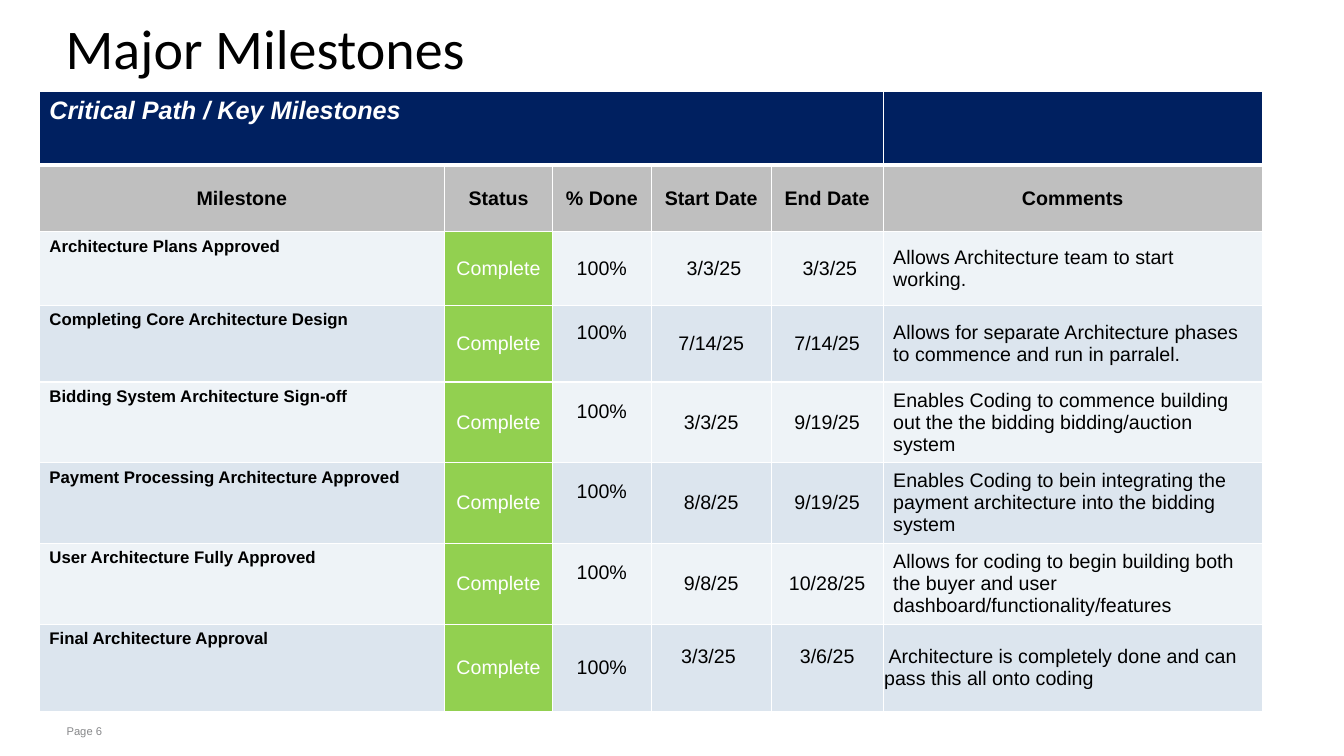
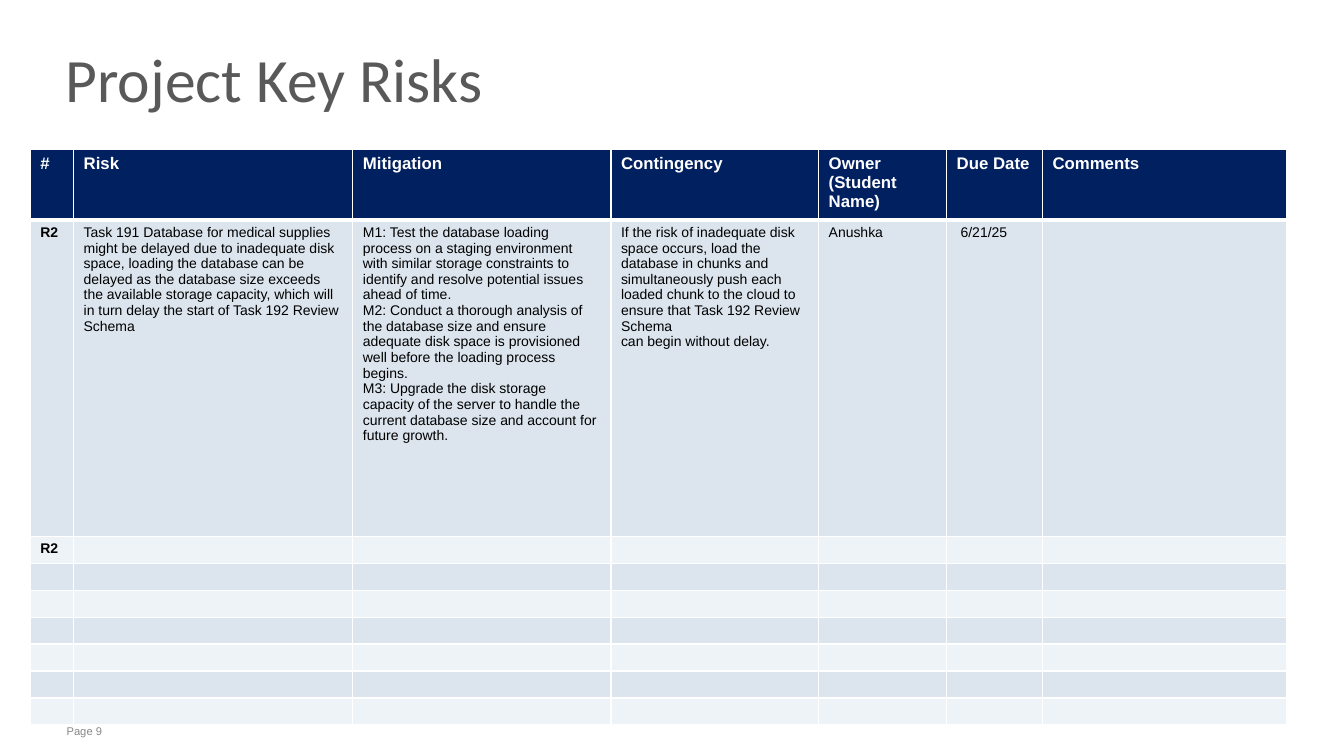
from lxml.etree import SubElement
from pptx import Presentation
from pptx.dml.color import RGBColor
from pptx.enum.text import MSO_ANCHOR as Anchor, MSO_AUTO_SIZE as AutoSize, PP_ALIGN as Align
from pptx.oxml.ns import qn
from pptx.util import Inches, Pt

NAVY = RGBColor(0x00, 0x20, 0x60)
WHITE = RGBColor(0xFF, 0xFF, 0xFF)
BLACK = RGBColor(0x00, 0x00, 0x00)
DARK_GREY = RGBColor(0x59, 0x59, 0x59)
FOOTER_GREY = RGBColor(0x87, 0x88, 0x8A)
HEADING_GREY = RGBColor(0xBF, 0xBF, 0xBF)
GREEN = RGBColor(0x92, 0xD0, 0x50)
PALE = RGBColor(0xEE, 0xF3, 0xF7)
PALE_BLUE = RGBColor(0xDC, 0xE5, 0xEE)

MILESTONE_TITLE = "Critical Path / Key Milestones"
MILESTONE_HEADINGS = ["Milestone", "Status", "% Done", "Start Date", "End Date", "Comments"]
MILESTONES = [
    ("Architecture Plans Approved", " 3/3/25", " 3/3/25",
     "Allows Architecture team to start working."),
    ("Completing Core Architecture Design", "7/14/25", "7/14/25",
     "Allows for separate Architecture phases to commence and run in parralel."),
    ("Bidding System Architecture Sign-off", "3/3/25", "9/19/25",
     "Enables Coding to commence building out the the bidding bidding/auction system"),
    ("Payment Processing Architecture Approved", "8/8/25", "9/19/25",
     "Enables Coding to bein integrating the payment architecture into the bidding system"),
    ("User Architecture Fully Approved", "9/8/25", "10/28/25",
     "Allows for coding to begin building both the buyer and user "
     "dashboard/functionality/features"),
    ("Final Architecture Approval", "3/3/25 ", " 3/6/25 ",
     " Architecture is completely done and can pass this all onto coding"),
]
MILESTONE_COLUMNS = [4.02, 1.07, 0.98, 1.19, 1.11, 3.76]
MILESTONE_ROWS = [0.73, 0.66, 0.73, 0.76, 0.76, 0.76, 0.8, 0.87]

RISK_HEADINGS = ["#", "Risk", "Mitigation", "Contingency", "Owner\n(Student Name)",
                 "Due Date", "Comments"]
RISKS = [
    ("R2",
     "Task 191 Database for medical supplies might be delayed due to inadequate disk space, "
     "loading the database can be delayed as the database size exceeds the available storage "
     "capacity, which will in turn delay the start of Task 192 Review Schema",
     "M1: Test the database loading process on a staging environment with similar storage "
     "constraints to identify and resolve potential issues ahead of time.\n"
     "M2: Conduct a thorough analysis of the database size and ensure adequate disk space is "
     "provisioned well before the loading process begins.\n"
     "M3: Upgrade the disk storage capacity of the server to handle the current database size "
     "and account for future growth.",
     "If the risk of inadequate disk space occurs, load the database in chunks and "
     "simultaneously push each loaded chunk to the cloud to ensure that Task 192 Review Schema\n"
     "can begin without delay.",
     "Anushka", " 6/21/25", ""),
    ("R2",) + ("",) * 6,
] + [("",) * 7] * 6
RISK_COLUMNS = [0.43, 2.77, 2.56, 2.06, 1.27, 0.95, 2.42]
RISK_ROWS = [0.65, 3.14] + [0.26] * 7

BANNER = dict(size=Pt(18), bold=True, italic=True)
HEADING = dict(size=Pt(14), bold=True)
BODY = dict(size=Pt(14))
NAME = dict(size=Pt(12), bold=True)
RISK_TEXT = dict(size=Pt(10))
RISK_ID = dict(size=Pt(10), bold=True)
CENTRED = dict(align=Align.CENTER, anchor=Anchor.MIDDLE)


def style_text(frame, color, font, align=Align.LEFT):
    for para in frame.paragraphs:
        para.alignment = align
        for span in para.runs:
            span.font.color.rgb = color
            for name, value in font.items():
                setattr(span.font, name, value)


def set_insets(target, **insets):
    for side, inches in insets.items():
        setattr(target, f"margin_{side}", Inches(inches))


def add_page(deck, title, place, size, color, number):
    page = deck.slides.add_slide(deck.slide_layouts[5])
    footer = page.shapes.add_textbox(*map(Inches, (0.58, 7.14, 10.79, 0.24)))
    footer.text_frame.text = f"Page {number}"
    footer.text_frame.word_wrap = True
    set_insets(footer.text_frame, left=0.08, right=0.08, top=0.05, bottom=0.05)
    style_text(footer.text_frame, FOOTER_GREY, dict(name="Arial", size=Pt(8)))

    heading = page.shapes.title
    for side, inches in zip(("left", "top", "width", "height"), place):
        setattr(heading, side, Inches(inches))
    frame = heading.text_frame
    frame.text = title
    frame.auto_size = AutoSize.NONE
    frame.vertical_anchor = Anchor.MIDDLE
    frame.paragraphs[0].line_spacing = 0.75
    set_insets(frame, left=0.08, right=0.08, top=0, bottom=0)
    style_text(frame, color, dict(name="Calibri", size=Pt(size)))
    return page


def add_grid(page, left, top, columns, rows):
    frame = page.shapes.add_table(len(rows), len(columns), Inches(left), Inches(top),
                                  Inches(sum(columns)), Inches(sum(rows)))
    table = frame.table
    table.first_row = table.horz_banding = False
    for column, width in zip(table.columns, columns):
        column.width = Inches(width)
    for row, height in zip(table.rows, rows):
        row.height = Inches(height)
    for index, row in enumerate(table.rows):
        for cell in row.cells:
            add_borders(cell, top=3 if index == 1 else 1, bottom=3 if index == 0 else 1)
    return table


def add_borders(cell, top, bottom):
    properties = cell._tc.get_or_add_tcPr()
    for side, width in (("L", 1), ("R", 1), ("T", top), ("B", bottom)):
        line = SubElement(properties, qn(f"a:ln{side}"), w=str(Pt(width)))
        SubElement(SubElement(line, qn("a:solidFill")), qn("a:srgbClr"), val=str(WHITE))


def fill_cell(cell, text, fill, font, color=BLACK, align=Align.LEFT, anchor=Anchor.TOP):
    cell.fill.solid()
    cell.fill.fore_color.rgb = fill
    cell.vertical_anchor = anchor
    if text:
        cell.text_frame.text = text
        style_text(cell.text_frame, color, dict(font, name="Arial"), align)
    else:
        size = str(int(font["size"].pt * 100))
        SubElement(cell.text_frame.paragraphs[0]._p, qn("a:endParaRPr"), sz=size)


def build_milestones(deck):
    page = add_page(deck, "Major Milestones", (0.57, 0.16, 11.76, 0.75), 40, BLACK, 6)
    table = add_grid(page, 0.39, 0.91, MILESTONE_COLUMNS, MILESTONE_ROWS)
    table.cell(0, 0).merge(table.cell(0, 4))
    fill_cell(table.cell(0, 0), MILESTONE_TITLE, NAVY, BANNER, WHITE)
    fill_cell(table.cell(0, 5), "", NAVY, BANNER)
    for column, text in enumerate(MILESTONE_HEADINGS):
        fill_cell(table.cell(1, column), text, HEADING_GREY, HEADING, **CENTRED)
    last = len(MILESTONES) + 1
    for row, (name, start, end, comment) in enumerate(MILESTONES, 2):
        band = PALE_BLUE if row % 2 else PALE
        cells = table.rows[row].cells
        fill_cell(cells[0], name, band, NAME)
        fill_cell(cells[1], "Complete", GREEN, BODY, WHITE, **CENTRED)
        for column, text in ((2, "100%"), (3, start), (4, end)):
            fill_cell(cells[column], text, band, BODY, **CENTRED)
        fill_cell(cells[5], comment, band, BODY, anchor=Anchor.MIDDLE)
        if 2 < row < last:
            set_insets(cells[2], bottom=0.27)
    for column, bottom in ((3, 0.23), (4, 0.23), (5, 0.01)):
        set_insets(table.cell(last, column), left=0.01, right=0.01, top=0.01, bottom=bottom)


def build_risks(deck):
    page = add_page(deck, "Project Key Risks", (0.57, 0.26, 10.93, 1.19), 44, DARK_GREY, 9)
    table = add_grid(page, 0.3, 1.48, RISK_COLUMNS, RISK_ROWS)
    for column, text in enumerate(RISK_HEADINGS):
        fill_cell(table.cell(0, column), text, NAVY, NAME, WHITE)
    for row, texts in enumerate(RISKS, 1):
        band = PALE_BLUE if row % 2 else PALE
        for column, text in enumerate(texts):
            font = RISK_TEXT if column else RISK_ID
            fill_cell(table.cell(row, column), text, band, font)


def main():
    deck = Presentation()
    deck.slide_width, deck.slide_height = Inches(13.33), Inches(7.5)
    build_milestones(deck)
    build_risks(deck)
    deck.save("out.pptx")


if __name__ == "__main__":
    main()
